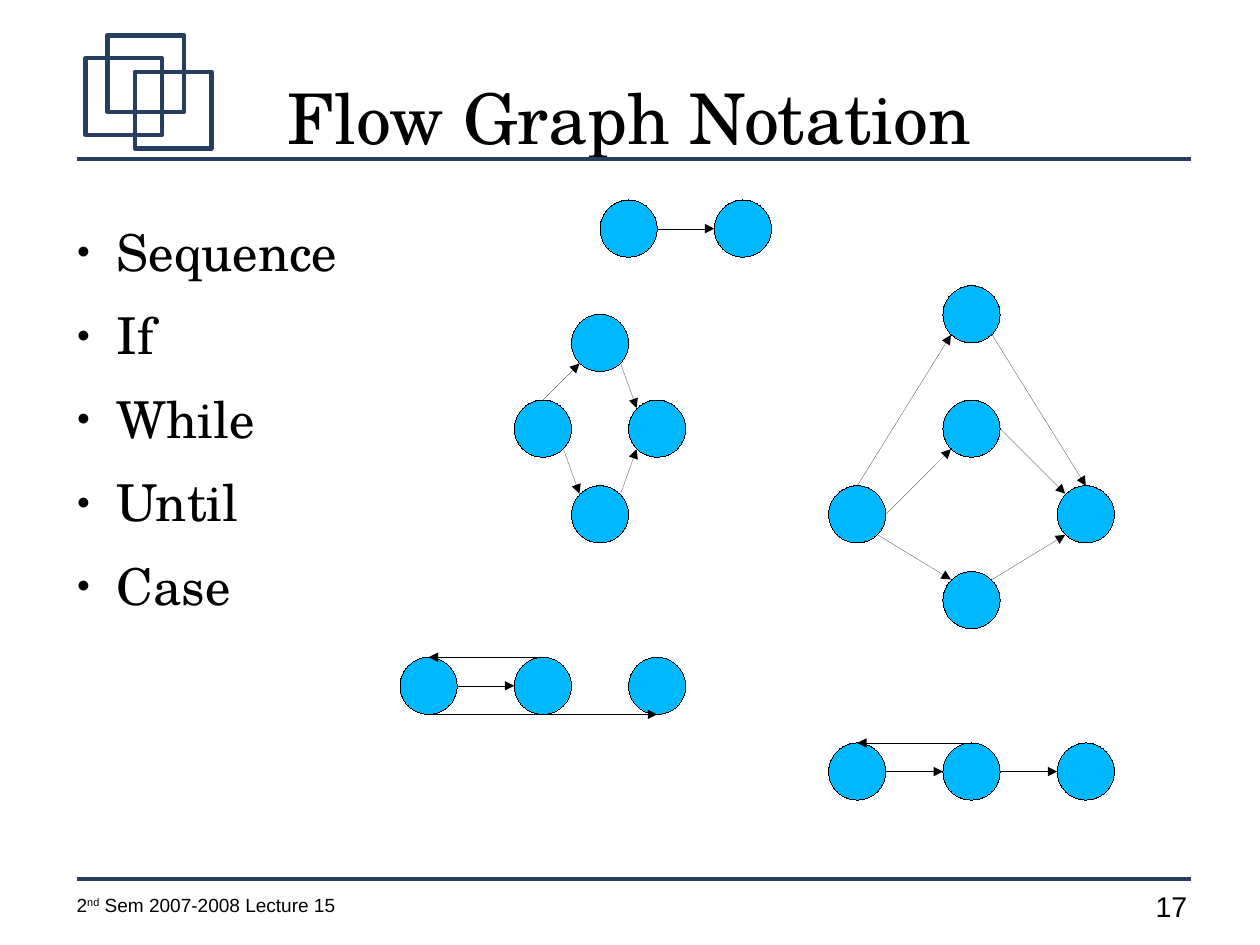
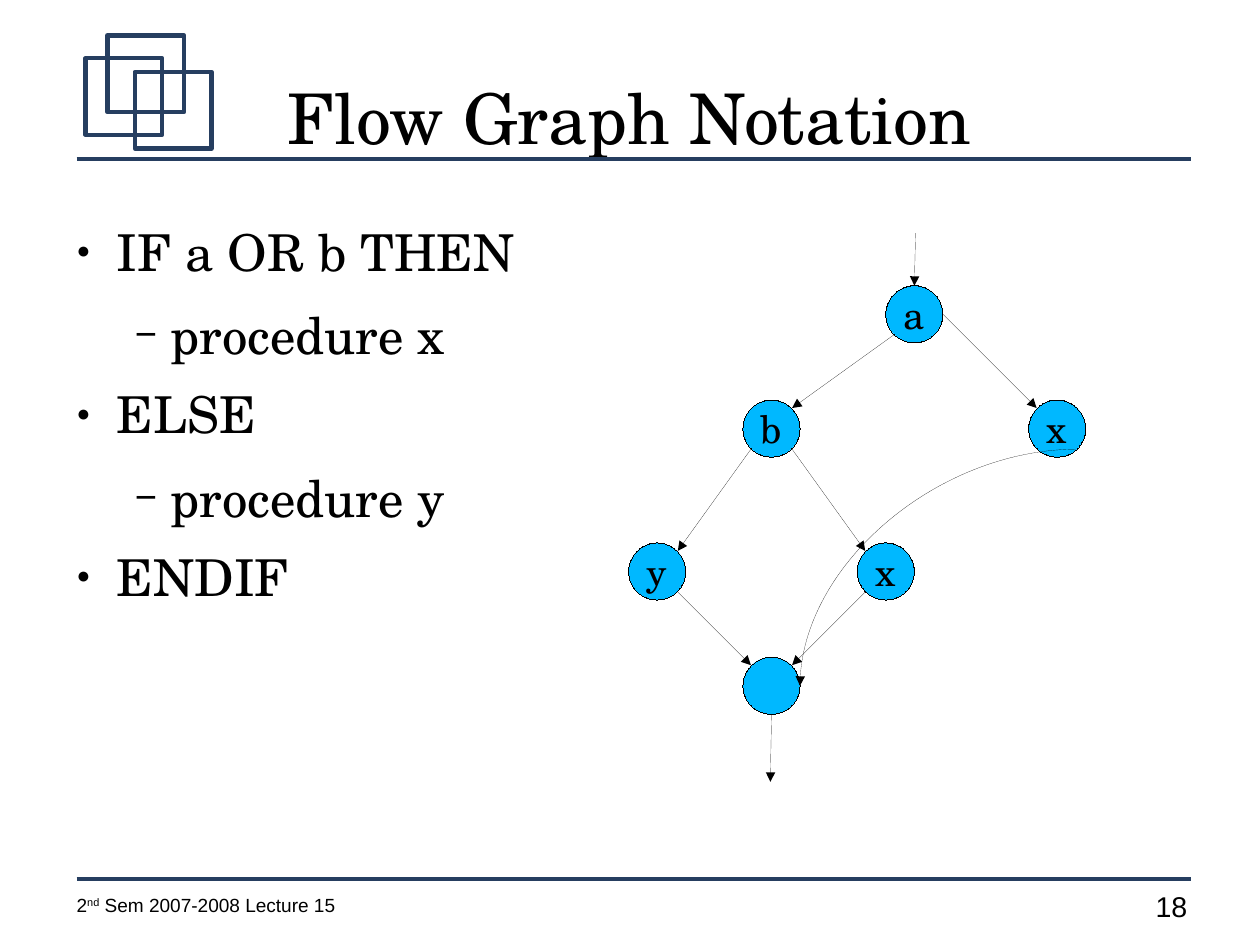
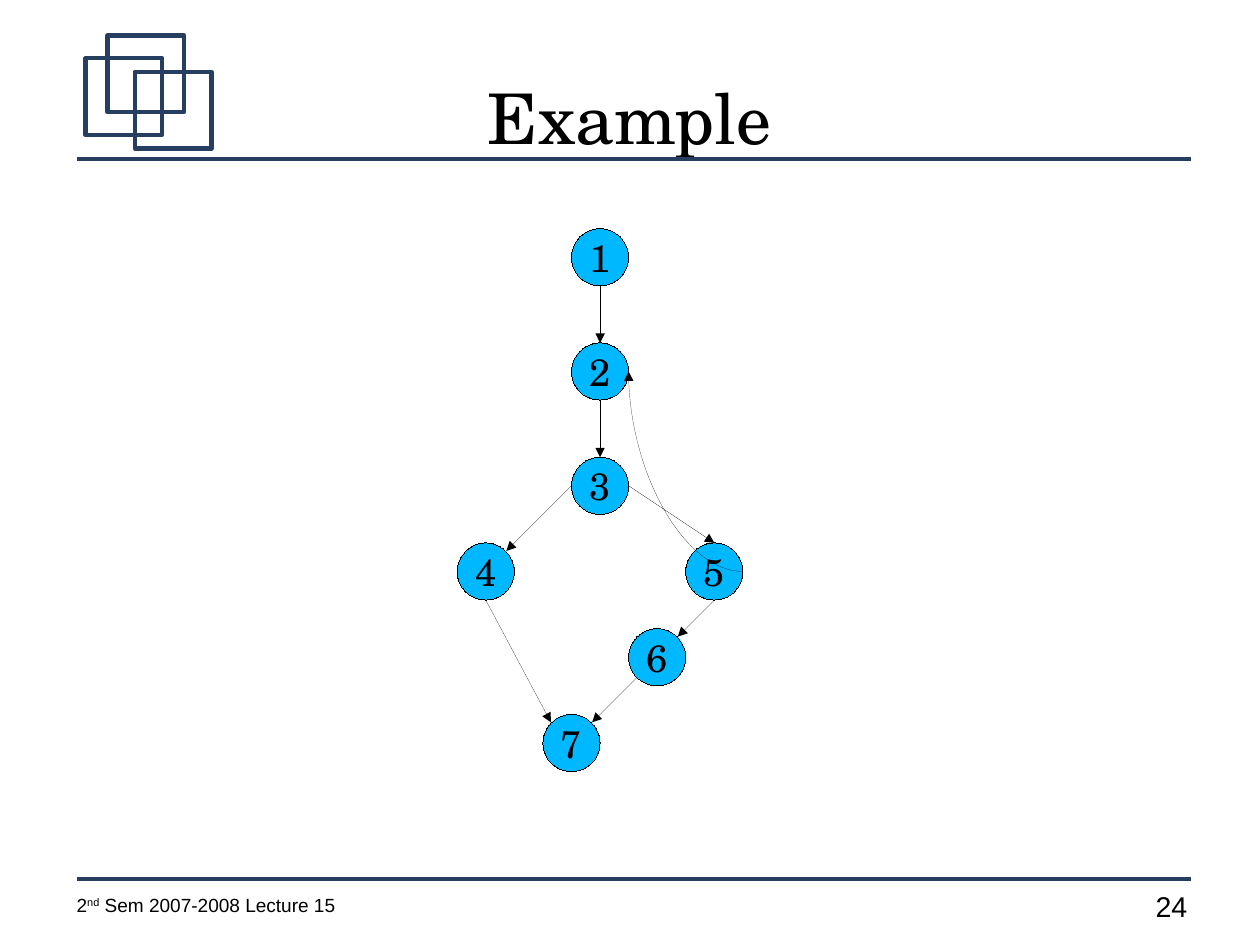
from math import cos, radians, sin
from lxml.etree import SubElement
from pptx import Presentation
from pptx.dml.color import RGBColor as RGB
from pptx.enum.shapes import MSO_CONNECTOR as LINK, MSO_SHAPE as SHAPE
from pptx.enum.text import MSO_ANCHOR as ANCHOR, MSO_AUTO_SIZE as SIZE, PP_ALIGN as ALIGN
from pptx.oxml.ns import qn
from pptx.util import Inches, Pt

COLORS = {"ink": "000000", "band": "263E60", "node": "00B8FF"}
SERIF, SANS = "TeX Gyre Schola", "Arial"
PORTS = ["n", "nw", "w", "sw", "s", "se", "e", "ne"]
DIAM = 0.5
BANDS = [1.39, 7.69]
SQUARES = [(0.75, 0.51), (0.94, 0.31), (1.18, 0.63)]
LEVELS = [
    {"left": 0.47, "hang": -0.35, "after": 14.2, "mark": "●", "size": 45},
    {"left": 0.94, "hang": -0.31, "after": 11.3, "mark": "−", "size": 75},
]

SLIDES = [
    {
        "title": "Flow Graph Notation", "page": "17",
        "list": [(0, "Sequence"), (0, "If"), (0, "While"), (0, "Until"), (0, "Case")],
        "nodes": [
            (5.25, 1.75, ""), (6.25, 1.75, ""),
            (5, 2.75, ""), (5.5, 3.5, ""), (4.5, 3.5, ""), (5, 4.25, ""),
            (3.5, 5.75, ""), (4.5, 5.75, ""), (5.5, 5.75, ""),
            (7.25, 6.5, ""), (8.25, 6.5, ""), (9.25, 6.5, ""),
            (8.25, 2.5, ""), (7.25, 4.25, ""), (9.25, 4.25, ""), (8.25, 5, ""), (8.25, 3.5, ""),
        ],
        "edges": [
            (0, "e", 1, "w"),
            (2, "se", 3, "nw"), (4, "n", 2, "sw"), (4, "se", 5, "nw"), (5, "ne", 3, "sw"),
            (7, "n", 6, "n"), (6, "s", 8, "s"), (6, "e", 7, "w"),
            (10, "n", 9, "n"), (9, "e", 10, "w"), (10, "e", 11, "w"),
            (13, "n", 12, "sw"), (13, "e", 16, "sw"), (13, "se", 15, "nw"),
            (15, "ne", 14, "sw"), (12, "se", 14, "n"), (16, "e", 14, "nw"),
        ],
        "curves": [],
    },
    {
        "title": "Flow Graph Notation", "page": "18",
        "list": [(0, "IF a OR b THEN"), (1, "procedure x"), (0, "ELSE"),
                 (1, "procedure y"), (0, "ENDIF")],
        "nodes": [
            (7.75, 2.5, "a"), (6.5, 3.5, "b"), (9, 3.5, "x"),
            (7.5, 4.75, "x"), (6.5, 5.75, ""), (5.5, 4.75, "y"),
        ],
        "edges": [
            (8.01, 2.04, 0, "n"), (0, "sw", 1, "ne"), (0, "e", 2, "nw"),
            (1, "se", 3, "nw"), (1, "sw", 5, "ne"), (5, "se", 4, "nw"),
            (3, "sw", 4, "ne"), (4, "s", 6.74, 6.84),
        ],
        "curves": [(2, "se", 4, "e")],
    },
    {
        "title": "Example", "page": "24",
        "list": [],
        "nodes": [
            (5, 2, "1"), (5, 3, "2"), (5, 4, "3"), (4, 4.75, "4"),
            (6, 4.75, "5"), (5.5, 5.5, "6"), (4.75, 6.25, "7"),
        ],
        "edges": [
            (0, "s", 1, "n"), (1, "s", 2, "n"), (2, "w", 3, "ne"), (2, "e", 4, "n"),
            (4, "s", 5, "ne"), (3, "s", 6, "nw"), (5, "sw", 6, "ne"),
        ],
        "curves": [(4, "e", 1, "e")],
    },
]


def write(para, text, size, face):
    run = para.add_run()
    run.text = text
    run.font.size = Pt(size)
    run.font.name = face
    run.font.color.rgb = RGB.from_string(COLORS["ink"])
    return run


def clear(frame, anchor=ANCHOR.TOP):
    frame.margin_left = frame.margin_right = frame.margin_top = frame.margin_bottom = 0
    frame.word_wrap = True
    frame.auto_size = SIZE.NONE
    frame.vertical_anchor = anchor
    return frame


deck = Presentation()
deck.slide_width, deck.slide_height = Inches(28 / 2.54), Inches(21 / 2.54)

for data in SLIDES:
    slide = deck.slides.add_slide(deck.slide_layouts[5])
    shapes = slide.shapes

    for y in BANDS:
        band = shapes.add_connector(LINK.STRAIGHT, Inches(0.67), Inches(y), Inches(10.42), Inches(y))
        band.line.color.rgb = RGB.from_string(COLORS["band"])
        band.line.width = Pt(2.83)
        SubElement(band._element.spPr, qn("a:effectLst"))
    for x, y in SQUARES:
        square = shapes.add_shape(SHAPE.RECTANGLE, Inches(x), Inches(y), Inches(0.67), Inches(0.67))
        square.shadow.inherit = False
        square.fill.background()
        square.line.color.rgb = RGB.from_string(COLORS["band"])
        square.line.width = Pt(2.83)

    foot = shapes.add_textbox(Inches(0.67), Inches(7.82), Inches(2.82), Inches(0.27))
    para = clear(foot.text_frame).paragraphs[0]
    write(para, "2", 12, SANS)
    write(para, "nd", 12, SANS).font._element.set("baseline", "33000")
    write(para, " Sem 2007-2008 Lecture 15", 12, SANS)
    page = shapes.add_textbox(Inches(10.11), Inches(7.78), Inches(0.4), Inches(0.37))
    write(clear(page.text_frame).paragraphs[0], data["page"], 18, SANS)

    title = shapes.title
    title.left, title.top = Inches(0.55), Inches(0.33)
    title.width, title.height = Inches(9.92), Inches(1.38)
    para = clear(title.text_frame, ANCHOR.MIDDLE).paragraphs[0]
    para.alignment = ALIGN.CENTER
    write(para, data["title"], 44, SERIF)

    if data["list"]:
        body = shapes.add_textbox(Inches(0.55), Inches(1.93), Inches(9.92), Inches(5.46))
        frame = clear(body.text_frame)
        for i, (level, text) in enumerate(data["list"]):
            para = frame.add_paragraph() if i else frame.paragraphs[0]
            style = LEVELS[level]
            para.level = level
            para.space_after = Pt(style["after"])
            props = para._p.get_or_add_pPr()
            props.set("marL", str(Inches(style["left"])))
            props.set("indent", str(Inches(style["hang"])))
            SubElement(props, qn("a:buSzPct")).set("val", str(style["size"] * 1000))
            SubElement(props, qn("a:buFont")).set("typeface", SANS)
            SubElement(props, qn("a:buChar")).set("char", style["mark"])
            write(para, text, 32, SERIF)

    nodes = []
    for x, y, label in data["nodes"]:
        node = shapes.add_shape(SHAPE.OVAL, Inches(x), Inches(y), Inches(DIAM), Inches(DIAM))
        node.shadow.inherit = False
        node.fill.solid()
        node.fill.fore_color.rgb = RGB.from_string(COLORS["node"])
        node.line.color.rgb = RGB.from_string(COLORS["ink"])
        node._element.spPr.find(qn("a:ln")).set("w", "0")
        if label:
            para = clear(node.text_frame, ANCHOR.MIDDLE).paragraphs[0]
            para.alignment = ALIGN.CENTER
            write(para, label, 24, SERIF)
        nodes.append(node)

    for edge in data["edges"] + data["curves"]:
        curved = edge in data["curves"]
        ends, glue = [], []
        for tag, a, b in (("a:stCxn", *edge[:2]), ("a:endCxn", *edge[2:])):
            if b in PORTS:
                port = PORTS.index(b)
                turn = radians(45 * port)
                x, y, _ = data["nodes"][a]
                ends += [x + DIAM / 2 * (1 - sin(turn)), y + DIAM / 2 * (1 - cos(turn))]
                glue.append((tag, nodes[a].shape_id, port))
            else:
                ends += [a, b]
        kind = LINK.CURVE if curved else LINK.STRAIGHT
        arrow = shapes.add_connector(kind, *[Inches(round(v, 2)) for v in ends])
        arrow.line.color.rgb = RGB.from_string(COLORS["ink"])
        props = arrow._element.spPr
        line = props.find(qn("a:ln"))
        line.set("w", "0")
        SubElement(line, qn("a:tailEnd")).set("type", "triangle")
        SubElement(props, qn("a:effectLst"))
        if curved:
            props.find(qn("a:prstGeom")).set("prst", "curvedConnector2")
        else:
            lock = arrow._element.find(".//" + qn("p:cNvCxnSpPr"))
            for tag, num, port in glue:
                joint = SubElement(lock, qn(tag))
                joint.set("id", str(num))
                joint.set("idx", str(port))

deck.save("out.pptx")
